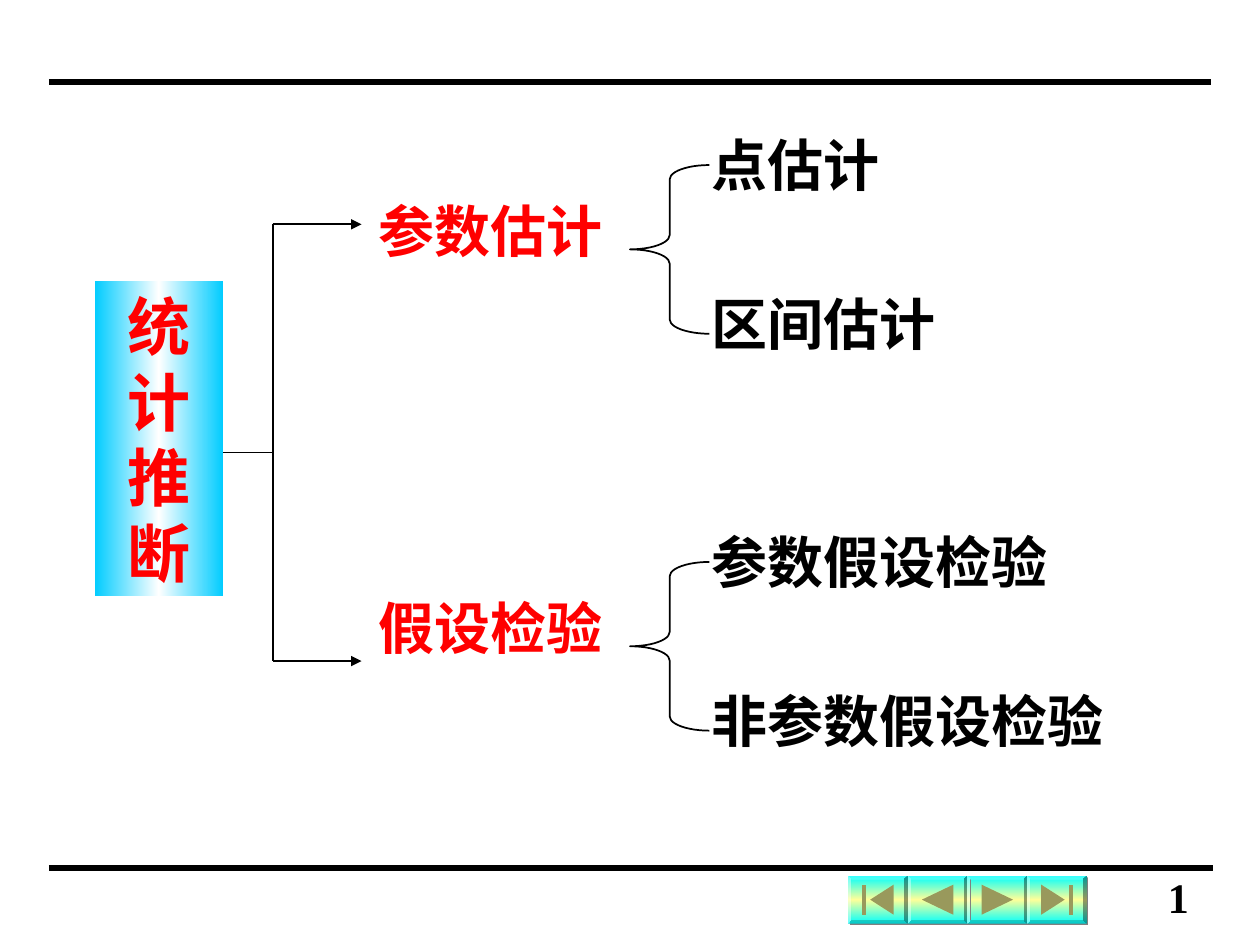
from lxml import etree
from pptx import Presentation
from pptx.dml.color import RGBColor
from pptx.enum.shapes import MSO_CONNECTOR, MSO_SHAPE
from pptx.enum.text import PP_ALIGN
from pptx.oxml.ns import qn
from pptx.util import Pt

STRAIGHT = MSO_CONNECTOR.STRAIGHT
RECTANGLE, BEVEL, LEFT_BRACE = MSO_SHAPE.RECTANGLE, MSO_SHAPE.BEVEL, MSO_SHAPE.LEFT_BRACE
LEFT, CENTER = PP_ALIGN.LEFT, PP_ALIGN.CENTER

BLACK = RGBColor(0, 0, 0)
WHITE = RGBColor(0xFF, 0xFF, 0xFF)
RED = RGBColor(0xFF, 0, 0)
SKY = RGBColor(0, 0xCC, 0xFF)
CYAN = RGBColor(0, 0xFF, 0xFF)
YELLOW = RGBColor(0xFF, 0xFF, 0x99)
OLIVE = RGBColor(0x99, 0x99, 0x5C)
GRAY = RGBColor(0x80, 0x80, 0x80)
FONT = "Times New Roman"

LABEL_HEIGHT = 46
BRANCHES = [  # top of the branch, label, its kinds
    (71.2, "参数估计", ["点估计", "区间估计"]),
    (298, "假设检验", ["参数假设检验", "非参数假设检验"]),
]


def add_line(slide, x1, y1, x2, y2, weight=1, arrow=False):
    line = slide.shapes.add_connector(STRAIGHT, Pt(x1), Pt(y1), Pt(x2), Pt(y2))
    line.line.color.rgb = BLACK
    line.line.width = Pt(weight)
    if arrow:
        etree.SubElement(line.line._get_or_add_ln(), qn("a:tailEnd"), type="triangle")
    etree.SubElement(line._element.spPr, qn("a:effectLst"))


def write(frame, text, size, color, align):
    frame.word_wrap = True
    paragraph = frame.paragraphs[0]
    paragraph.alignment = align
    run = paragraph.add_run()
    run.text = text
    run.font.name, run.font.size, run.font.bold = FONT, Pt(size), True
    run.font.color.rgb = color


def add_label(slide, x, y, width, text, color=BLACK, align=LEFT, size=32):
    box = slide.shapes.add_textbox(Pt(x), Pt(y), Pt(width), Pt(LABEL_HEIGHT))
    write(box.text_frame, text, size, color, align)


def fill_band(shape, edge, middle, angle):
    """Fill with a gradient that runs from edge to middle and back."""
    shape.fill.gradient()
    shape.fill.gradient_angle = angle
    stops = shape._element.spPr.find(".//" + qn("a:gsLst"))
    for stop in list(stops):
        stops.remove(stop)
    for position, color in ((0, edge), (50000, middle), (100000, edge)):
        stop = etree.SubElement(stops, qn("a:gs"), pos=str(position))
        etree.SubElement(stop, qn("a:srgbClr"), val=str(color))
    shape.line.fill.background()


def add_topic(slide, x, y, width, height):
    topic = slide.shapes.add_shape(RECTANGLE, Pt(x), Pt(y), Pt(width), Pt(height))
    topic.shadow.inherit = False
    fill_band(topic, SKY, WHITE, 0)
    write(topic.text_frame, "统计推断", 36, RED, CENTER)


def add_branch(slide, x, y, label, kinds):
    """Place a branch label, its brace and the kinds on the brace's ends."""
    add_label(slide, x, y + 37.5, 148, label, RED, CENTER)
    brace = slide.shapes.add_shape(LEFT_BRACE, Pt(x + 153.4), Pt(y + 23.1),
                                   Pt(45.4), Pt(96.4))
    brace.adjustments[0] = 0.18
    brace.shadow.inherit = False
    brace.fill.background()
    brace.line.color.rgb = BLACK
    brace.line.width = Pt(1)
    for row, kind in enumerate(kinds):
        add_label(slide, x + 193, y + row * 90.7, 256, kind)


def add_tree_lines(slide, start, trunk, end, middle, ends):
    add_line(slide, start, middle, trunk, middle)
    for y in ends:
        add_line(slide, trunk, middle, trunk, y)
        add_line(slide, trunk, y, end, y, arrow=True)


def add_glyph(slide, points):
    (x, y), *others = [(Pt(px), Pt(py)) for px, py in points]
    builder = slide.shapes.build_freeform(x, y)
    builder.add_line_segments(others)
    glyph = builder.convert_to_shape()
    glyph.shadow.inherit = False
    glyph.fill.solid()
    glyph.fill.fore_color.rgb = OLIVE
    glyph.line.fill.background()


def add_button(slide, x, y, width, height, direction, to_end):
    """Place a bevelled button; direction is -1 for back and 1 for forward."""
    button = slide.shapes.add_shape(BEVEL, Pt(x), Pt(y), Pt(width), Pt(height))
    button.adjustments[0] = 0.07
    fill_band(button, CYAN, YELLOW, 90)
    button.shadow.inherit = False
    effects = button._element.spPr.find(qn("a:effectLst"))
    shadow = etree.SubElement(effects, qn("a:outerShdw"), dist=str(Pt(1.4)),
                              dir="2700000", algn="ctr", rotWithShape="0")
    etree.SubElement(shadow, qn("a:srgbClr"), val=str(GRAY))

    center, middle, half = x + width / 2, y + height / 2, 8.6
    tip = center + direction * (4.4 if to_end else 9)
    base = center - direction * 9
    add_glyph(slide, [(tip, middle), (base, middle - half), (base, middle + half)])
    if to_end:
        inner, outer = center + direction * 6.8, center + direction * 9
        add_glyph(slide, [(inner, middle - half), (outer, middle - half),
                          (outer, middle + half), (inner, middle + half)])


def add_navigation(slide, x, y, width, height):
    buttons = [(-1, True), (-1, False), (1, False), (1, True)]
    step = width / len(buttons)
    for column, (direction, to_end) in enumerate(buttons):
        add_button(slide, x + column * step, y, step, height, direction, to_end)


def add_frame(slide):
    """Place the rules, the navigation and the page number."""
    add_line(slide, 28, 46.8, 692, 46.8, 3)
    add_line(slide, 28, 496, 693, 496, 3)
    add_navigation(slide, 484.6, 500.4, 136.4, 27.4)
    add_label(slide, 660.3, 494.7, 57, "1", size=24)


def main():
    presentation = Presentation()
    presentation.slide_width, presentation.slide_height = Pt(720), Pt(540)
    slide = presentation.slides.add_slide(presentation.slide_layouts[6])
    add_frame(slide)
    add_topic(slide, 54, 160.5, 73.5, 180.3)
    for top, label, kinds in BRANCHES:
        add_branch(slide, 206.6, top, label, kinds)
    add_tree_lines(slide, 127.5, 155.8, 206.6, 258.6, (128.2, 377.8))
    presentation.save("out.pptx")


if __name__ == "__main__":
    main()
